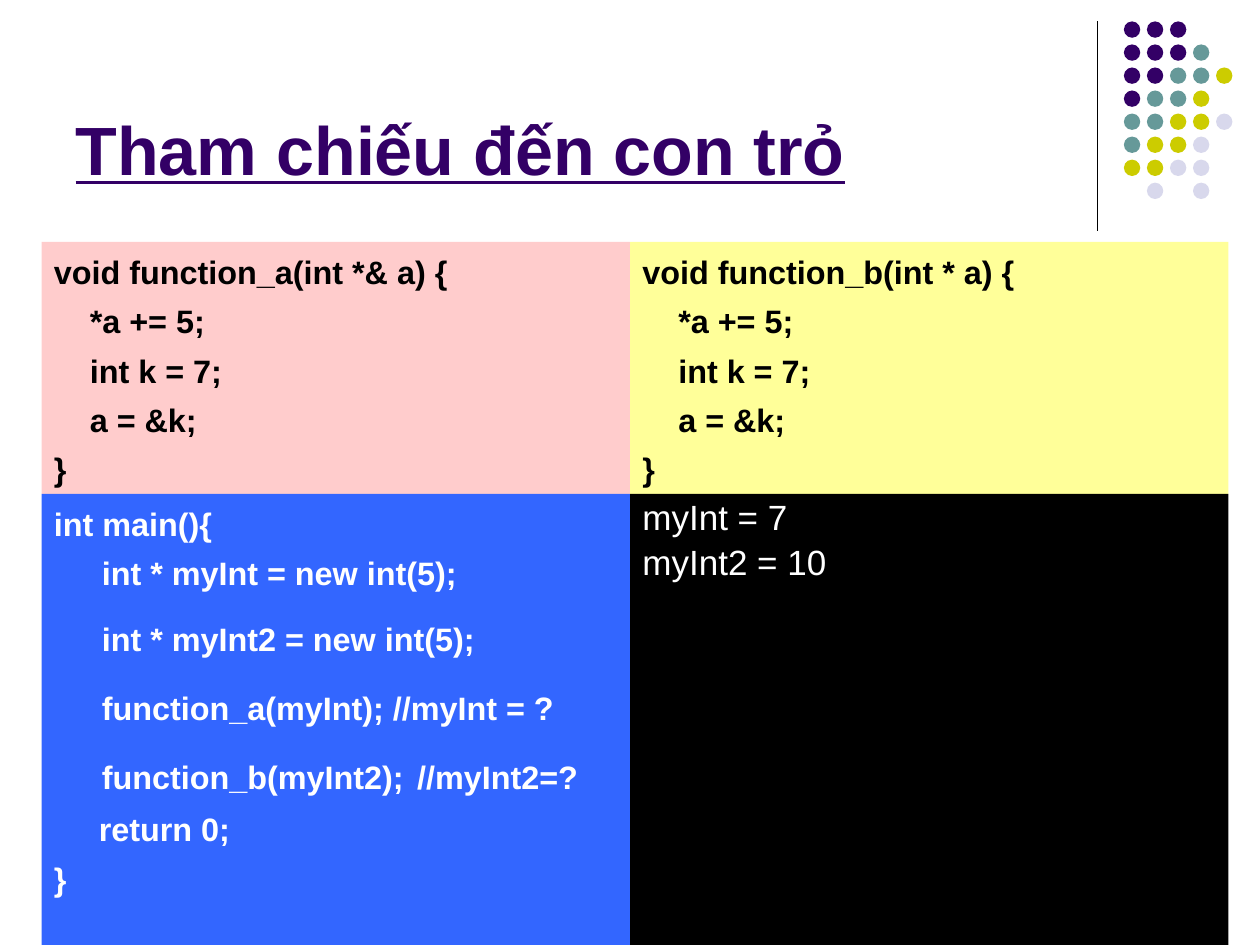
from lxml import etree
from pptx import Presentation
from pptx import util as u
from pptx.dml.color import RGBColor
from pptx.enum import shapes, text
from pptx.oxml.ns import qn

COLORS = {
    "purple": "330066", "teal": "669999", "olive": "CCCC00", "lavender": "D8D8EC",
    "pink": "FFCCCC", "yellow": "FFFF99", "blue": "3366FF",
    "black": "000000", "white": "FFFFFF",
}
DOT_COLORS = {"p": "purple", "t": "teal", "o": "olive", "l": "lavender"}
DOT_ROWS = ["ppp", "pppt", "pptto", "ptto", "ttool", "tool", "ooll", " l l"]
DOT_PITCH = 1.28 / 7

CODE_SIZE, GAP_SIZE, OUTPUT_SIZE = 18.5, 27.8, 20
LEFT, MIDDLE, RIGHT = 0.33, 5, 9.75
TOP, SPLIT, BOTTOM = 1.92, 3.92, 7.5

BODY = ["    *a += 5;", "    int k = 7;", "    a = &k;", "}"]
# A tuple is a run with its own size, in regular weight.
MAIN = [
    ["int main(){"],
    ["\tint * myInt = new int(5);"],
    ["\tint * myInt2 = new int(5);", (" ", GAP_SIZE)],
    [("\t", GAP_SIZE), "function_a(myInt); //myInt = ?"],
    ["\tfunction_b(myInt2);", (" ", GAP_SIZE), "//myInt2=?"],
    ["     return 0;"],
    ["}"],
]
OUTPUT = [[("myInt = 7", OUTPUT_SIZE)], [("myInt2 = 10", OUTPUT_SIZE)]]


class SlideBuilder:
    font = "Arial"

    def __init__(self, deck):
        self.page = deck.slides.add_slide(deck.slide_layouts[5])

    def color(self, name):
        return RGBColor.from_string(COLORS[name])

    def span(self, para, words, size, color, bold=True):
        span = para.add_run()
        span.text = words
        span.font.name = self.font
        span.font.size = u.Pt(size)
        span.font.bold = bold
        span.font.color.rgb = self.color(color)
        return span

    def title(self, words):
        box = self.page.shapes.title
        box.left, box.top = u.Inches(0.5), u.Inches(0.13)
        box.width, box.height = u.Inches(8.25), u.Inches(1.42)
        box.text_frame.vertical_anchor = text.MSO_ANCHOR.BOTTOM
        para = box.text_frame.paragraphs[0]
        para.alignment = text.PP_ALIGN.LEFT
        self.span(para, words, 39, "purple").font.underline = True

    def shape(self, kind, left, top, width, height, fill):
        box = self.page.shapes.add_shape(
            kind, *(u.Inches(n) for n in (left, top, width, height)))
        box.shadow.inherit = False
        box.fill.solid()
        box.fill.fore_color.rgb = self.color(fill)
        box.line.fill.background()
        return box

    def line(self, x1, y1, x2, y2):
        line = self.page.shapes.add_connector(
            shapes.MSO_CONNECTOR.STRAIGHT, *(u.Inches(n) for n in (x1, y1, x2, y2)))
        line.line.color.rgb = self.color("black")
        line.line.width = u.Pt(0.75)
        etree.SubElement(line._element.spPr, qn("a:effectLst"))

    def dots(self, left, top):
        for row, letters in enumerate(DOT_ROWS):
            for column, letter in enumerate(letters):
                if letter in DOT_COLORS:
                    self.shape(shapes.MSO_SHAPE.OVAL, left + column * DOT_PITCH,
                               top + row * DOT_PITCH, 0.13, 0.13, DOT_COLORS[letter])

    def panel(self, left, top, right, bottom, fill, ink, lines, line_spacing=None):
        box = self.shape(shapes.MSO_SHAPE.RECTANGLE, left, top,
                         right - left, bottom - top, fill)
        frame = box.text_frame
        frame.word_wrap = True
        frame.vertical_anchor = text.MSO_ANCHOR.TOP
        frame.margin_top = u.Inches(0.08)
        for index, line in enumerate(lines):
            para = frame.add_paragraph() if index else frame.paragraphs[0]
            para.alignment = text.PP_ALIGN.LEFT
            para.line_spacing = line_spacing
            para.space_before = u.Pt(6 if index else 0)
            indent = para._p.get_or_add_pPr()
            indent.set("marL", str(u.Inches(0.38)))
            indent.set("indent", str(u.Inches(-0.38)))
            for part in line:
                if isinstance(part, tuple):
                    self.span(para, *part, ink, bold=False)
                else:
                    self.span(para, part, CODE_SIZE, ink)


def function_lines(signature):
    return [[line] for line in [signature, *BODY]]


def main():
    deck = Presentation()
    deck.slide_width, deck.slide_height = u.Inches(10), u.Inches(7.5)
    builder = SlideBuilder(deck)
    builder.line(8.71, 0.17, 8.71, 1.83)
    builder.dots(8.92, 0.17)
    builder.title("Tham chiếu đến con trỏ")
    builder.panel(LEFT, TOP, MIDDLE, SPLIT, "pink", "black",
                  function_lines("void function_a(int *& a) {"))
    builder.panel(MIDDLE, TOP, RIGHT, SPLIT, "yellow", "black",
                  function_lines("void function_b(int * a) {"))
    builder.panel(LEFT, SPLIT, MIDDLE, BOTTOM, "blue", "white", MAIN)
    builder.panel(MIDDLE, SPLIT, RIGHT, BOTTOM, "black", "white", OUTPUT, 0.8)
    deck.save("out.pptx")


if __name__ == "__main__":
    main()
